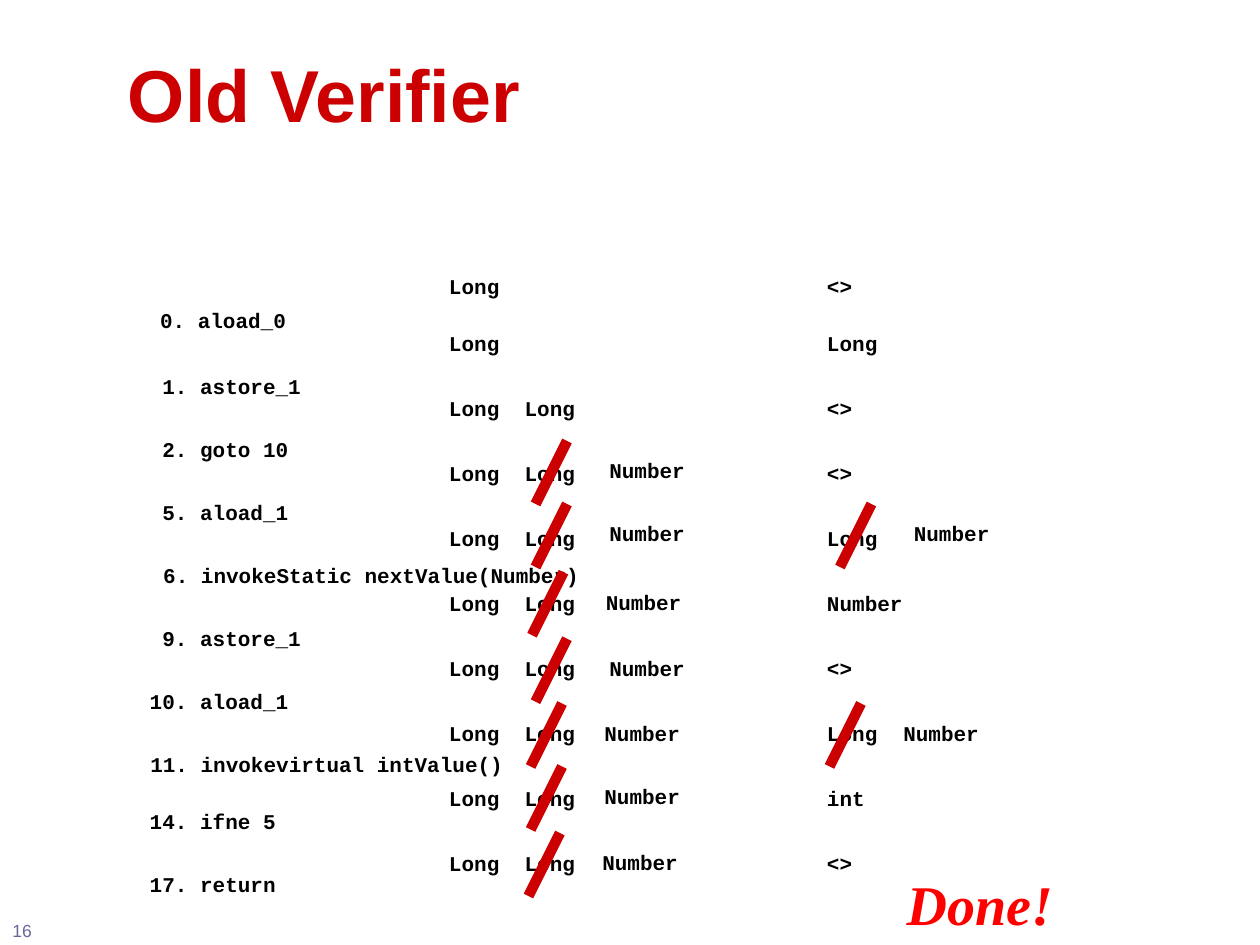
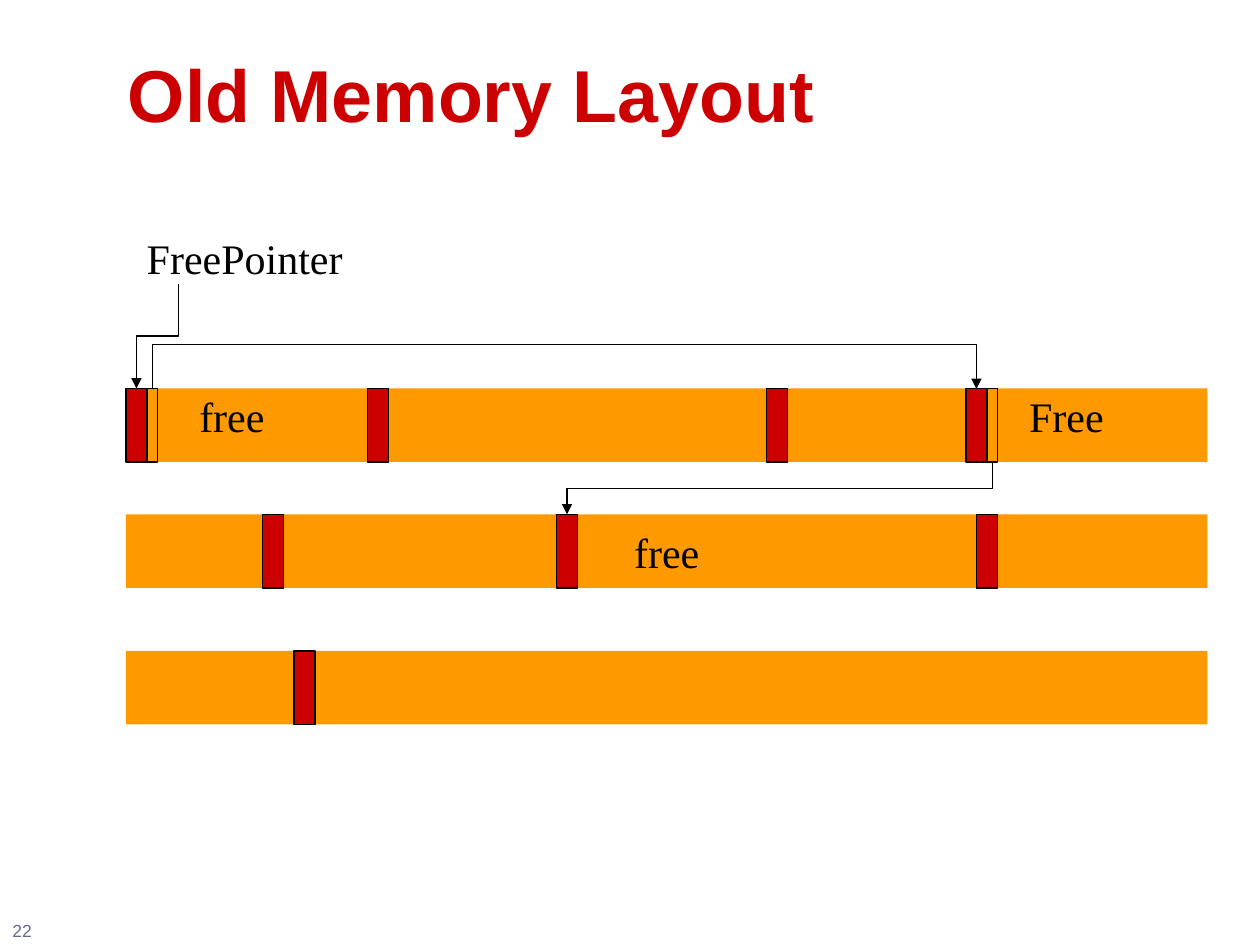
from dataclasses import dataclass
from typing import Optional

import pptx
import pptx.dml.color
import pptx.enum.shapes
import pptx.enum.text
import pptx.oxml.ns
import pptx.util
from lxml import etree

Pt = pptx.util.Pt
qn = pptx.oxml.ns.qn


@dataclass(frozen=True)
class Font:
    name: str
    size: float
    color: str
    bold: bool = False
    italic: bool = False


@dataclass(frozen=True)
class Theme:
    red: str = "CC0000"
    orange: str = "FF9900"
    black: str = "000000"
    thin: float = 0.75
    thick: float = 6
    title: Font = Font("Arial", 42, "CC0000", bold=True)
    page: Font = Font("Arial", 10, "666699")
    code: Font = Font("Courier New", 12, "000000", bold=True)
    label: Font = Font("Times New Roman", 24, "000000")
    done: Font = Font("Times New Roman", 32, "FF0000", bold=True, italic=True)


@dataclass(frozen=True)
class Box:
    left: float
    top: float
    width: float
    height: float


@dataclass(frozen=True)
class Step:
    """One instruction, with the types held before it runs."""
    left: float
    top: float
    num: int
    code: str
    local: str
    stack: str


@dataclass(frozen=True)
class Strike:
    left: float
    top: float


@dataclass(frozen=True)
class Row:
    """One strip of memory; heads and links are left edges."""
    top: float
    heads: tuple[float, ...]
    links: tuple[float, ...] = ()
    text: Optional[str] = None


@dataclass(frozen=True)
class Elbow:
    """A path that leaves and arrives upright, crossing at bend."""
    x1: float
    y1: float
    x2: float
    y2: float
    bend: float


THEME = Theme()
CHAR = 7.2
PAD = 14.4
LINE = 21.6
LOCAL = 6 * CHAR
STACK = 216
STATE = 249.5
GAP = 37.15

STEPS = (
    Step(77.2, 172, 0, "aload_0", "", "<>"),
    Step(78.5, 210, 1, "astore_1", "", "Long"),
    Step(78.5, 246, 2, "goto 10", "Long", "<>"),
    Step(78.5, 282, 5, "aload_1", "Long", "<>"),
    Step(79, 318, 6, "invokeStatic nextValue(Number)", "Long", "Long"),
    Step(78.5, 354, 9, "astore_1", "Long", "Number"),
    Step(78.5, 390, 10, "aload_1", "Long", "<>"),
    Step(78.8, 426, 11, "invokevirtual intValue()", "Long", "Long"),
    Step(78.5, 458.6, 14, "ifne 5", "Long", "int"),
    Step(78.5, 494.6, 17, "return", "Long", "<>"),
)
STRIKES = (
    Strike(306, 252), Strike(306, 288), Strike(480, 288),
    Strike(304, 327), Strike(306, 365), Strike(303.2, 402),
    Strike(474, 402), Strike(303.2, 438), Strike(302, 476),
)
ROWS = (
    Row(222, (72, 210, 438, 552), (84, 564)),
    Row(294, (150, 318, 558), text="free"),
    Row(372, (168,)),
)
ELBOWS = (
    Elbow(102, 162, 78, 222, 192),
    Elbow(87, 222, 558, 222.25, 197.5),
    Elbow(567, 264, 324, 294, 279),
)
LABELS = (
    ("FreePointer", Box(76.8, 129.6, 127, 36)),
    ("free", Box(106.8, 219.6, 52, 36)),
    ("Free", Box(581, 219.6, 57, 36)),
)


def rgb(code: str):
    return pptx.dml.color.RGBColor.from_string(code)


def write(para, text: str, font: Font) -> None:
    run = para.add_run()
    run.text = text
    run.font.name = font.name
    run.font.size = Pt(font.size)
    run.font.bold = font.bold
    run.font.italic = font.italic
    run.font.color.rgb = rgb(font.color)


def add_text(slide, box: Box, text: str, font: Font, wrap: bool = False):
    shape = slide.shapes.add_textbox(
        Pt(box.left), Pt(box.top), Pt(box.width), Pt(box.height))
    frame = shape.text_frame
    frame.word_wrap = wrap
    if not wrap:
        frame.auto_size = pptx.enum.text.MSO_AUTO_SIZE.SHAPE_TO_FIT_TEXT
    write(frame.paragraphs[0], text, font)
    return frame


def add_code(slide, left: float, top: float, text: str) -> None:
    box = Box(left, top, PAD + CHAR * len(text), LINE)
    add_text(slide, box, text, THEME.code)


def add_state(slide, top: float, step: Step) -> None:
    """Write locals and stack at two tab stops."""
    box = Box(STATE, top, PAD + STACK + CHAR * len(step.stack), LINE)
    text = f"Long\t{step.local}\t{step.stack}"
    frame = add_text(slide, box, text, THEME.code)
    props = frame.paragraphs[0]._p.get_or_add_pPr()
    tabs = etree.SubElement(props, qn("a:tabLst"))
    for stop in (LOCAL, STACK):
        etree.SubElement(tabs, qn("a:tab"), pos=str(Pt(stop)), algn="l")


def add_rect(slide, box: Box, fill: str, line: Optional[str] = None):
    shape = slide.shapes.add_shape(
        pptx.enum.shapes.MSO_SHAPE.RECTANGLE,
        Pt(box.left), Pt(box.top), Pt(box.width), Pt(box.height))
    shape.shadow.inherit = False
    shape.fill.solid()
    shape.fill.fore_color.rgb = rgb(fill)
    if line:
        shape.line.color.rgb = rgb(line)
        shape.line.width = Pt(THEME.thin)
    else:
        shape.line.fill.background()
    return shape


def add_line(slide, kind, path: tuple[float, ...], color: str, width: float):
    line = slide.shapes.add_connector(kind, *(Pt(val) for val in path))
    line.line.color.rgb = rgb(color)
    line.line.width = Pt(width)
    etree.SubElement(line._element.spPr, qn("a:effectLst"))
    return line


def add_strike(slide, mark: Strike) -> None:
    """Cross out a type and write its new one beside it."""
    path = (mark.left, mark.top + 36, mark.left + 18, mark.top)
    kind = pptx.enum.shapes.MSO_CONNECTOR.STRAIGHT
    add_line(slide, kind, path, THEME.red, THEME.thick)
    add_code(slide, mark.left + 35.1, mark.top + 6.1, "Number")


def add_elbow(slide, way: Elbow) -> None:
    """Turn a bent connector so that its ends run upright."""
    drop, span = way.y2 - way.y1, abs(way.x2 - way.x1)
    left = (way.x1 + way.x2 - drop) / 2
    top = (way.y1 + way.y2 - span) / 2
    kind = pptx.enum.shapes.MSO_CONNECTOR.ELBOW
    path = (left, top, left + drop, top + span)
    line = add_line(slide, kind, path, THEME.black, THEME.thin)
    props = line._element.spPr
    frame = props.find(qn("a:xfrm"))
    right = way.x2 > way.x1
    frame.set("rot", str((270 if right else 90) * 60000))
    if right:
        frame.set("flipH", "1")
    geom = props.find(qn("a:prstGeom"))
    guides = geom.find(qn("a:avLst"))
    if guides is None:
        guides = etree.SubElement(geom, qn("a:avLst"))
    ratio = round((way.bend - way.y1) / drop * 100000)
    etree.SubElement(guides, qn("a:gd"), name="adj1", fmla=f"val {ratio}")
    etree.SubElement(props.find(qn("a:ln")), qn("a:tailEnd"), type="triangle")


def add_row(slide, row: Row) -> None:
    bar = add_rect(slide, Box(72, row.top, 618, 42), THEME.orange)
    if row.text:
        frame = bar.text_frame
        frame.word_wrap = False
        frame.vertical_anchor = pptx.enum.text.MSO_ANCHOR.MIDDLE
        para = frame.paragraphs[0]
        para.alignment = pptx.enum.text.PP_ALIGN.CENTER
        write(para, row.text, THEME.label)
    for left in row.heads:
        add_rect(slide, Box(left, row.top, 12, 42), THEME.red, THEME.black)
    for left in row.links:
        add_rect(slide, Box(left, row.top, 6, 42), THEME.orange, THEME.black)


def add_slide(deck, title: str, page: int):
    slide = deck.slides.add_slide(deck.slide_layouts[6])
    frame = add_text(slide, Box(66, 12, 600, 90), title, THEME.title, True)
    frame.vertical_anchor = pptx.enum.text.MSO_ANCHOR.MIDDLE
    frame.paragraphs[0].line_spacing = 0.85
    add_text(slide, Box(0, 522, 66, 18), str(page), THEME.page, True)
    return slide


def draw_checks(deck) -> None:
    slide = add_slide(deck, "Old Verifier", 16)
    tops = [152.6, 185.3] + [222.4 + GAP * i for i in range(len(STEPS) - 2)]
    for step, top in zip(STEPS, tops):
        add_code(slide, step.left, step.top, f"{step.num:>2}. {step.code}")
        add_state(slide, top, step)
    for mark in STRIKES:
        add_strike(slide, mark)
    add_text(slide, Box(511, 493.4, 98, 46), "Done!", THEME.done)


def draw_heap(deck) -> None:
    slide = add_slide(deck, "Old Memory Layout", 22)
    for row in ROWS:
        add_row(slide, row)
    for way in ELBOWS:
        add_elbow(slide, way)
    for text, box in LABELS:
        add_text(slide, box, text, THEME.label)


def main() -> None:
    deck = pptx.Presentation()
    deck.slide_width, deck.slide_height = Pt(720), Pt(540)
    draw_checks(deck)
    draw_heap(deck)
    deck.save("out.pptx")


if __name__ == "__main__":
    main()
